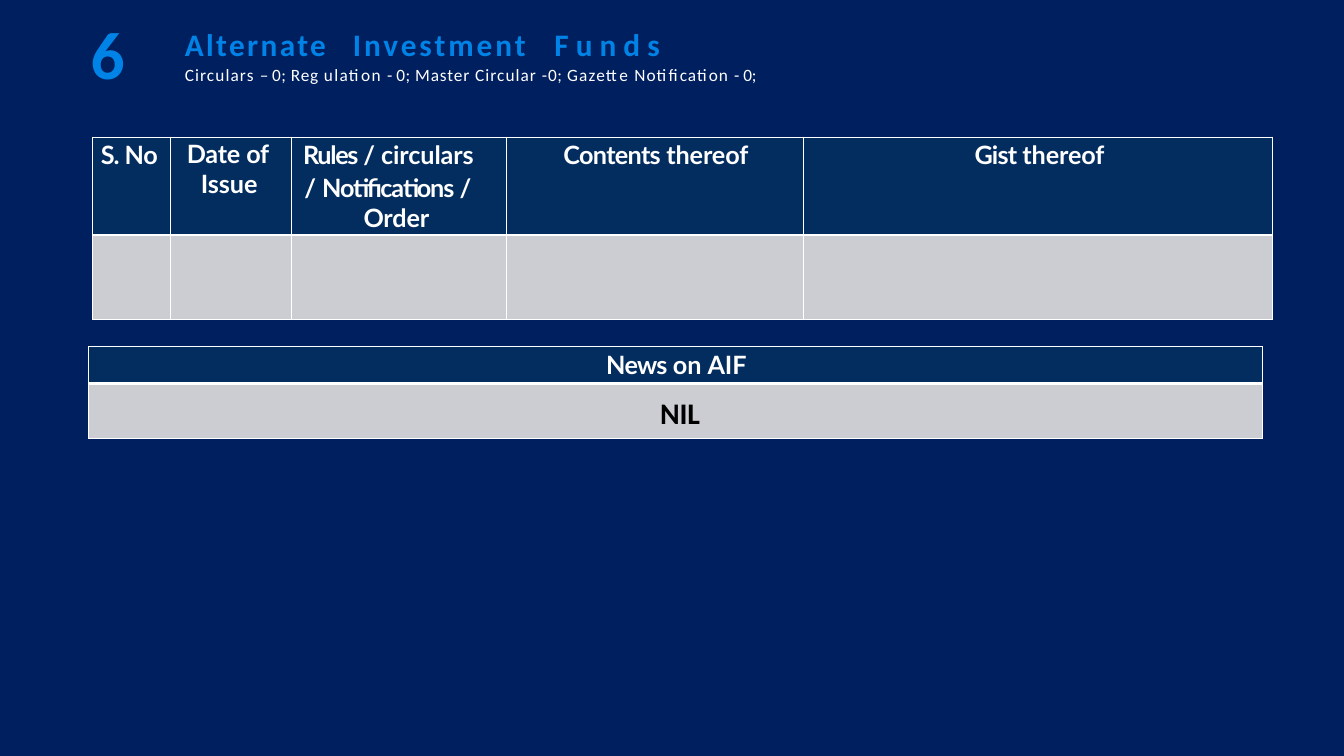
from dataclasses import dataclass

from lxml.etree import SubElement
from pptx import Presentation
from pptx.dml.color import RGBColor
from pptx.enum.text import PP_ALIGN
from pptx.oxml.ns import qn
from pptx.util import Inches, Pt


@dataclass(frozen=True)
class Theme:
    navy: str = "001F5F"
    blue: str = "0083E6"
    header: str = "042D5F"
    body: str = "CCCDD2"
    white: str = "FFFFFF"
    black: str = "000000"
    number: float = 72
    title: float = 33.5
    counts: float = 18.5
    head: float = 27
    nil: float = 32
    thin: float = 1
    thick: float = 3


T = Theme()

prs = Presentation()
prs.slide_width, prs.slide_height = Inches(20), Inches(11.25)
U = prs.slide_width // 20  # one grid unit: 20 columns by 11.25 rows


def add_text(tf, i, runs, size, color, font="Calibri", bold=True, left=0, first=0,
             align=PP_ALIGN.LEFT, before=0, line=None, tabs=()):
    """Write paragraph i of a frame from (text, letter spacing) runs."""
    p = tf.paragraphs[0] if i == 0 else tf.add_paragraph()
    p.alignment = align
    pPr = p._p.get_or_add_pPr()
    pPr.set("marL", str(int(left * U)))
    pPr.set("indent", str(int(first * U)))
    if tabs:
        tab_list = SubElement(pPr, qn("a:tabLst"))
        for pos in tabs:
            SubElement(tab_list, qn("a:tab"), pos=str(int(pos * U)), algn="l")
    p.space_before = Pt(before)
    if line:
        p.line_spacing = Pt(line)
    for text, spacing in runs:
        r = p.add_run()
        r.text = text
        r.font.name, r.font.size, r.font.bold = font, Pt(size), bold
        r.font.color.rgb = RGBColor.from_string(color)
        r._r.get_or_add_rPr().set("spc", str(round(spacing * 100)))


def add_grid(left, top, cols, rows):
    """Add a table with a header row, a body row and white rules."""
    frame = s.shapes.add_table(len(rows), len(cols), int(left * U), int(top * U),
                               int(sum(cols) * U), int(sum(rows) * U))
    table = frame.table
    table.horz_banding = False
    for col, width in zip(table.columns, cols):
        col.width = int(width * U)
    for i, height in enumerate(rows):
        table.rows[i].height = int(height * U)
        for cell in table.rows[i].cells:
            cell.margin_left = cell.margin_right = cell.margin_bottom = 0
            cell.margin_top = 0
            tcPr = cell._tc.get_or_add_tcPr()
            thick_side = "lnB" if i == 0 else "lnT"
            for side in ("lnL", "lnR", "lnT", "lnB"):
                width = T.thick if side == thick_side else T.thin
                ln = SubElement(tcPr, qn(f"a:{side}"), w=str(Pt(width)))
                SubElement(SubElement(ln, qn("a:solidFill")), qn("a:srgbClr"), val=T.white)
            cell.fill.solid()
            cell.fill.fore_color.rgb = RGBColor.from_string(T.header if i == 0 else T.body)
    return table


# Slide and background
s = prs.slides.add_slide(prs.slide_layouts[6])
s.background.fill.solid()
s.background.fill.fore_color.rgb = RGBColor.from_string(T.navy)

# Section number and heading boxes
frames = []
for left, top, width, height, inset in ((1.3, 0.18, 0.75, 1.86, 0.01),
                                        (2.74, 0.32, 8.7, 0.96, 0.05)):
    sp = s.shapes.add_textbox(*(int(v * U) for v in (left, top, width, height)))
    tf = sp.text_frame
    tf.word_wrap = True
    tf.margin_left = tf.margin_right = tf.margin_bottom = 0
    tf.margin_top = int(inset * U)
    frames.append(tf)
number, heading = frames

add_text(number, 0, [("6", -0.5)], T.number, T.blue, left=0.05)
add_text(heading, 0,
         [("Alternate\t", 2.6), ("Investment", 3.2), ("\tF u n d ", 0), ("s", -0.5)],
         T.title, T.blue, left=0.01, tabs=(2.37, 5.23))
add_text(heading, 1,
         [("Circulars ", 1.2), ("– ", 0), ("0; ", 0.5), ("Reg ", 0.9), ("ulation ", 1.4),
          ("- ", 0), ("0; ", 0.5), ("Master ", 1), ("Circular ", 1.1), ("-", 1),
          ("0; ", 0.6), ("Gazette ", 1.3), ("Notification ", 1.1), ("- ", 0), ("0;", -0.2)],
         T.counts, T.white, bold=False, left=0.01, before=1.8)

# News table
news = add_grid(1.32, 5.16, [17.47], [0.55, 0.82])
title_cell, nil_cell = news.cell(0, 0), news.cell(1, 0)
title_cell.margin_top, nil_cell.margin_top = int(0.05 * U), int(0.19 * U)
add_text(title_cell.text_frame, 0, [("News ", -0.8), ("on ", 0), ("AIF", -0.2)],
         T.head, T.white, "Lato", left=0.02, align=PP_ALIGN.CENTER)
add_text(nil_cell.text_frame, 0, [("NIL", -0.2)],
         T.nil, T.black, left=0.13, align=PP_ALIGN.CENTER)

# Circulars table: each heading is a top inset and its paragraphs
centre = PP_ALIGN.CENTER
headings = [
    (0.04, [([("S. ", -1.2), ("No", -0.2)], dict(left=0.12))]),
    (0.01, [([("Date ", -0.2), ("of ", -0.6), ("Issue", -0.1)],
             dict(left=0.45, first=-0.21, line=33))]),
    (0.04, [([("Rules ", -1.4), ("/ ", -0.2), ("circulars", -0.1)], dict(left=0.18)),
            ([("/ ", -0.2), ("Notifications ", -1.1), ("/ ", -0.5), ("Order", -0.2)],
             dict(left=1.08, first=-0.88, line=32.3, before=2.5))]),
    (0.04, [([("Contents ", -0.7), ("thereof", -0.1)], dict(left=0.03, align=centre))]),
    (0.04, [([("Gist ", -0.9), ("thereof", -0.1)], dict(left=0.04, align=centre))]),
]
circulars = add_grid(1.38, 2.04, [1.16, 1.79, 3.2, 4.43, 6.98], [1.46, 1.25])
for cell, (inset, paragraphs) in zip(circulars.rows[0].cells, headings):
    cell.margin_top = int(inset * U)
    for i, (runs, layout) in enumerate(paragraphs):
        add_text(cell.text_frame, i, runs, T.head, T.white, "Lato", **layout)

prs.save("out.pptx")
